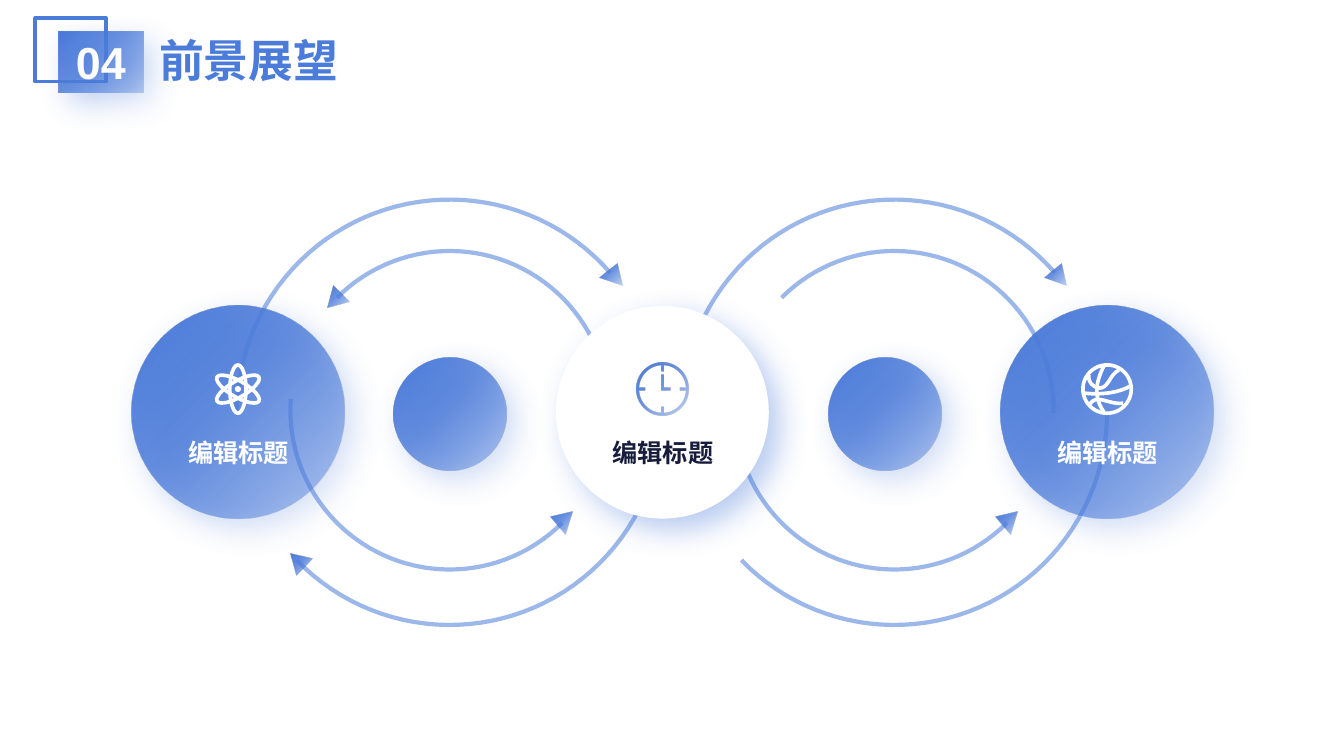
"""Build the outlook slide: three linked circles joined by curved arrows."""
from dataclasses import dataclass
from math import cos, radians, sin
from typing import Optional

from lxml.etree import SubElement
from pptx import Presentation
from pptx.dml.color import RGBColor
from pptx.enum.shapes import MSO_SHAPE as Preset
from pptx.enum.text import MSO_ANCHOR as Anchor, PP_ALIGN as Align
from pptx.oxml.ns import qn
from pptx.util import Inches, Pt

Point = tuple[float, float]
BLUE, WHITE, NAVY = "4C7CDA", "FFFFFF", "171C3D"
GRADIENT = "gradient"
STOPS = [(0, "3D5CB6", 100), (0, BLUE, 34), (56, BLUE, 83), (95, BLUE, 100)]
CENTER_Y, ICON_Y = 4.09, 3.86
LOOP_X, LOOP_STEP = 4.46, 4.41


@dataclass
class Arc:
    radius: float
    start: float
    end: float
    center_y: float
    tip: list[Point]
    tips_on: int = 2


@dataclass
class Hub:
    x: float
    fill: str
    text_color: str


ARCS = [
    Arc(2.11, 180, 319, 4.09, [(6.12, 2.61), (5.95, 2.75), (6.17, 2.83)]),
    Arc(1.58, 45, 184, 4.07, [(5.46, 5.13), (5.61, 5.3), (5.68, 5.08)]),
    Arc(1.58, 225, 361, 4.07, [(3.47, 2.99), (3.31, 2.83), (3.25, 3.05)], 1),
    Arc(2.11, 0, 136, 4.09, [(2.94, 5.71), (3.1, 5.54), (2.88, 5.49)], 1),
]
HUBS = [Hub(2.36, GRADIENT, WHITE), Hub(6.57, WHITE, NAVY), Hub(10.98, GRADIENT, WHITE)]
SEAMS = [
    [(10.95, 3.63), (10.86, 3.8), (10.85, 3.95), (10.95, 4.09)],
    [(10.75, 3.9), (10.9, 3.92), (11.1, 3.9), (11.21, 3.83)],
    [(11.1, 3.67), (11.0, 3.72), (11.0, 3.85), (10.9, 3.85)],
    [(10.9, 3.85), (10.85, 3.84), (10.79, 3.8), (10.8, 3.72)],
    [(10.81, 4.01), (10.88, 3.9), (11.0, 4.02), (11.14, 4.0)],
]


def rgb(value: str) -> RGBColor:
    """Turn a hex string into a colour."""
    return RGBColor.from_string(value)


def add_color(parent, value: str, opacity: int) -> None:
    """Append a colour element with an opacity in percent."""
    color = SubElement(parent, qn("a:srgbClr"), val=value)
    if opacity < 100:
        SubElement(color, qn("a:alpha"), val=str(opacity * 1000))


def paint(shape, fill: Optional[str] = None, line: Optional[str] = None,
          width: float = 0, opacity: int = 100, glow: bool = False) -> None:
    """Set the fill, the outline and the soft blue shadow of a shape."""
    shape.shadow.inherit = False
    if fill == GRADIENT:
        shape.fill.gradient()
        shape.fill.gradient_angle = 135
        stops = shape.element.spPr.find(".//" + qn("a:gsLst"))
        for stop in list(stops):
            stops.remove(stop)
        for place, value, alpha in STOPS:
            add_color(SubElement(stops, qn("a:gs"), pos=str(place * 1000)), value, alpha)
    elif fill:
        shape.fill.solid()
        shape.fill.fore_color.rgb = rgb(fill)
    else:
        shape.fill.background()
    if line:
        shape.line.color.rgb = rgb(line)
        shape.line.width = Pt(width)
        if opacity < 100:
            color = shape.element.spPr.find(qn("a:ln")).find(".//" + qn("a:srgbClr"))
            SubElement(color, qn("a:alpha"), val=str(opacity * 1000))
    else:
        shape.line.fill.background()
    if glow:
        effects = shape.element.spPr.find(qn("a:effectLst"))
        shadow = SubElement(effects, qn("a:outerShdw"), blurRad=str(Pt(22)), dist=str(Pt(11)),
                            dir=str(45 * 60000), algn="tl", rotWithShape="0")
        add_color(shadow, BLUE, 40)


def arc_points(x: float, y: float, radius: float, start: float, end: float) -> list[Point]:
    """Sample a circular arc, with angles clockwise from the right."""
    count = max(2, round((end - start) / 3))
    angles = [radians(start + (end - start) * i / count) for i in range(count + 1)]
    return [(x + radius * cos(a), y + radius * sin(a)) for a in angles]


def seam_points(a: Point, b: Point, c: Point, d: Point) -> list[Point]:
    """Sample a cubic curve."""
    return [tuple((1 - t) ** 3 * p + 3 * t * (1 - t) ** 2 * q + 3 * t * t * (1 - t) * r + t ** 3 * s
                  for p, q, r, s in zip(a, b, c, d))
            for t in (i / 16 for i in range(17))]


def bar(left: float, top: float, width: float, height: float) -> list[Point]:
    """Return the corners of a rectangle."""
    right, bottom = left + width, top + height
    return [(left, top), (right, top), (right, bottom), (left, bottom)]


def outline(shapes, contours: list[list[Point]], close: bool = True):
    """Add one freeform made of the given contours."""
    paths = [[(Inches(x), Inches(y)) for x, y in contour] for contour in contours]
    builder = shapes.build_freeform(*paths[0][0], scale=1.0)
    for index, path_points in enumerate(paths):
        if index:
            builder.move_to(*path_points[0])
        builder.add_line_segments(path_points[1:], close=close)
    return builder.convert_to_shape()


def oval(shapes, x: float, y: float, width: float, height: float):
    """Add an ellipse around a centre."""
    return shapes.add_shape(Preset.OVAL, Inches(x - width / 2), Inches(y - height / 2),
                            Inches(width), Inches(height))


def write(shape, text: str, size: float, color: str, align: Align, spacing: float = 1) -> None:
    """Write one bold line of text in a shape."""
    shape.text_frame.word_wrap = True
    paragraph = shape.text_frame.paragraphs[0]
    paragraph.text = text
    paragraph.alignment = align
    paragraph.line_spacing = spacing
    font = paragraph.font
    font.name, font.size, font.bold = "Arial", Pt(size), True
    font.color.rgb = rgb(color)


def draw_loop(shapes, index: int) -> None:
    """Draw the four curved arrows of one loop."""
    shift = index * LOOP_STEP
    for arc in ARCS:
        curve = arc_points(LOOP_X + shift, arc.center_y, arc.radius, arc.start, arc.end)
        paint(outline(shapes, [curve], close=False), line=BLUE, width=3, opacity=54)
        if index < arc.tips_on:
            tip = [(x + shift, y) for x, y in arc.tip]
            paint(outline(shapes, [tip]), GRADIENT)


def draw_atom(shapes, x: float) -> None:
    """Draw three crossed orbits and a nucleus."""
    for angle in (0, 60, 120):
        orbit = oval(shapes, x, ICON_Y, 0.16, 0.48)
        orbit.rotation = angle
        paint(orbit, line=WHITE, width=2.6)
    paint(oval(shapes, x, ICON_Y, 0.06, 0.06), WHITE)


def draw_clock(shapes, x: float) -> None:
    """Draw a dial with four ticks and two hands."""
    rings = [arc_points(x, ICON_Y, radius, 0, 360) for radius in (0.26, 0.23)]
    ticks = [bar(x - 0.015, ICON_Y + dy, 0.03, 0.06) for dy in (-0.23, 0.17)]
    ticks += [bar(x + dx, ICON_Y - 0.015, 0.06, 0.03) for dx in (-0.23, 0.17)]
    hands = [(-0.015, -0.14), (0.015, -0.14), (0.015, -0.015),
             (0.08, -0.015), (0.08, 0.015), (-0.015, 0.015)]
    dial = rings + ticks + [[(x + dx, ICON_Y + dy) for dx, dy in hands]]
    paint(outline(shapes, dial), GRADIENT)


def draw_ball(shapes, x: float) -> None:
    """Draw a ball with curved seams."""
    paint(oval(shapes, x, ICON_Y, 0.48, 0.48), line=WHITE, width=2.6)
    for seam in SEAMS:
        paint(outline(shapes, [seam_points(*seam)], close=False), line=WHITE, width=2.6)


def draw_header(shapes) -> None:
    """Draw the section number and the slide title."""
    frame = shapes.add_shape(Preset.RECTANGLE, Inches(0.35), Inches(0.18), Inches(0.7), Inches(0.63))
    paint(frame, line=BLUE, width=2.75)
    number = shapes.add_shape(Preset.RECTANGLE, Inches(0.58), Inches(0.31), Inches(0.84), Inches(0.61))
    paint(number, GRADIENT, glow=True)
    number.text_frame.vertical_anchor = Anchor.MIDDLE
    write(number, "04", 32, WHITE, Align.CENTER)
    title = shapes.add_textbox(Inches(1.48), Inches(0.28), Inches(2.14), Inches(0.64))
    write(title, "前景展望", 32, BLUE, Align.LEFT)


def main() -> None:
    """Build and save the slide."""
    deck = Presentation()
    deck.slide_width, deck.slide_height = Inches(13.33), Inches(7.5)
    shapes = deck.slides.add_slide(deck.slide_layouts[6]).shapes
    for index in range(2):
        draw_loop(shapes, index)
    for x in (8.78, 4.46):
        paint(oval(shapes, x, 4.11, 1.12, 1.12), GRADIENT, glow=True)
    for hub, draw_icon in zip(HUBS, (draw_atom, draw_clock, draw_ball)):
        paint(oval(shapes, hub.x, CENTER_Y, 2.11, 2.11), hub.fill, glow=True)
        draw_icon(shapes, hub.x)
        label = shapes.add_textbox(Inches(hub.x - 0.85), Inches(4.23), Inches(1.71), Inches(0.43))
        write(label, "编辑标题", 18, hub.text_color, Align.CENTER, 1.2)
    draw_header(shapes)
    deck.save("out.pptx")


if __name__ == "__main__":
    main()
